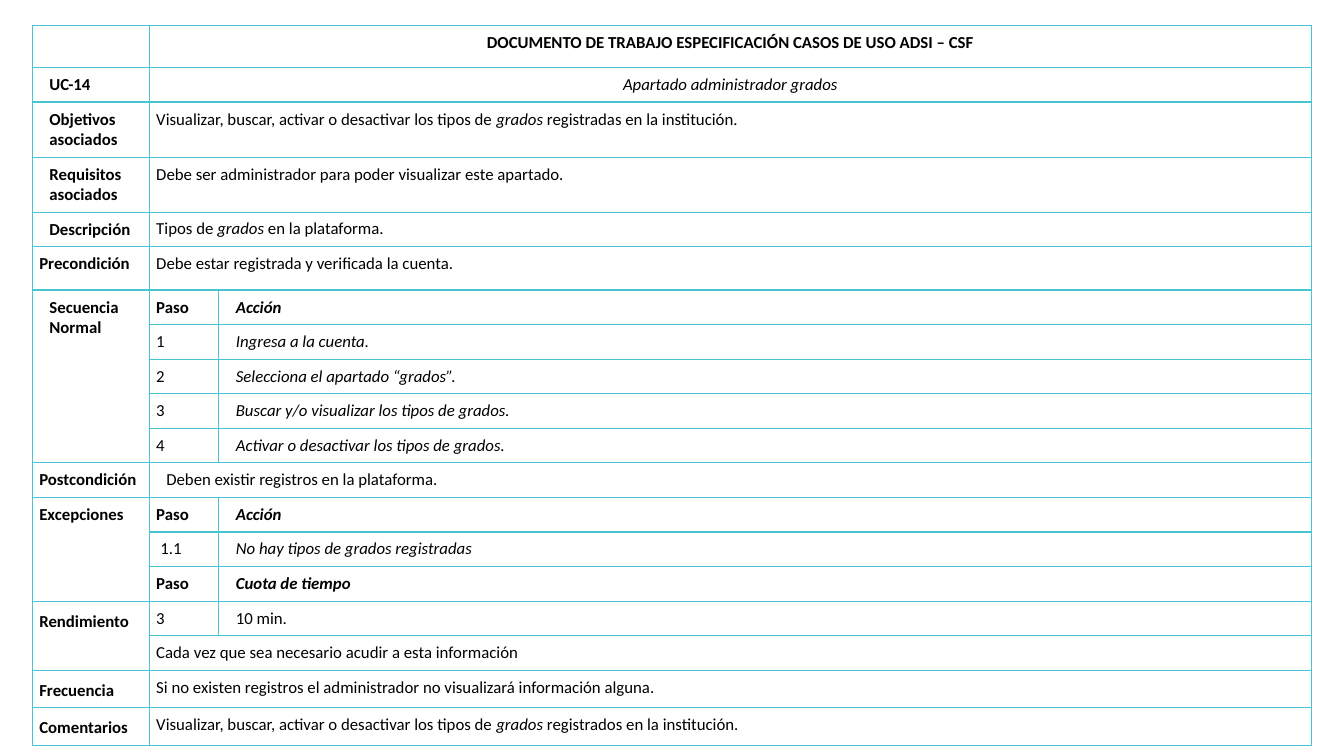
from dataclasses import dataclass
from lxml import etree
from pptx import Presentation
from pptx.dml.color import RGBColor
from pptx.enum.text import PP_ALIGN
from pptx.oxml.ns import qn
from pptx.util import Inches, Pt

LEFT, CENTER = PP_ALIGN.LEFT, PP_ALIGN.CENTER
WIDE, HIGH = 13.33, 7.5


@dataclass(frozen=True)
class Theme:
    font: str = "Calibri"
    size: int = 12
    ink: str = "000000"
    line: str = "47C4D1"
    weight: float = 1
    inset: float = 0.07
    step: float = 0.1


@dataclass(frozen=True)
class Text:
    """Cell wording: asterisks enclose an italic part, each line is a paragraph."""
    words: str
    bold: bool = False
    slant: bool = False
    left: float = 0
    lead: float = 1
    align: PP_ALIGN = LEFT


THEME = Theme()
STEP = THEME.step
COLS = (1.16, 0.69, 10.84)
BASE = 0.34


def label(words, left=0, lead=1):
    return Text(words, bold=True, left=left, lead=lead)


def head(words):
    return label("Paso"), Text(words, bold=True, slant=True, left=STEP)


def action(step, words, left=0):
    return Text(step, left=left), Text(words, slant=True, left=STEP)


# Each row: height, label (None continues the label above), then one wide or two split cells
ROWS = (
    (0.42, label(""), Text("DOCUMENTO DE TRABAJO ESPECIFICACIÓN CASOS DE USO ADSI – CSF",
                           bold=True, align=CENTER)),
    (BASE, label("UC-14", STEP), Text("Apartado administrador grados", slant=True, align=CENTER)),
    (0.54, label("Objetivos\nasociados", STEP),
     Text("Visualizar, buscar, activar o desactivar los tipos de *grados *registradas en la institución.")),
    (0.54, label("Requisitos\nasociados", STEP),
     Text("Debe ser administrador para poder visualizar este apartado.")),
    (BASE, label("Descripción", STEP), Text("Tipos de *grados *en la plataforma.", lead=0.95)),
    (0.43, label("Precondición"), Text("Debe estar registrada y verificada la cuenta.", lead=0.95)),
    (BASE, label("Secuencia\nNormal", STEP), *head("Acción")),
    (BASE, None, *action("1", "Ingresa a la cuenta.")),
    (BASE, None, *action("2", "Selecciona el apartado “grados”.")),
    (BASE, None, *action("3", "Buscar y/o visualizar los tipos de grados.")),
    (BASE, None, *action("4", "Activar o desactivar los tipos de grados.")),
    (BASE, label("Postcondición"),
     Text("Deben existir registros en la plataforma.", left=STEP, lead=0.95)),
    (BASE, label("Excepciones"), *head("Acción")),
    (BASE, None, *action("1.1", "No hay tipos de grados registradas", 0.04)),
    (BASE, None, *head("Cuota de tiempo")),
    (BASE, label("Rendimiento", lead=1.15), Text("3"), Text("10 min.", left=STEP)),
    (BASE, None, Text("Cada vez que sea necesario acudir a esta información")),
    (0.37, label("Frecuencia", lead=1.15),
     Text("Si no existen registros el administrador no visualizará información alguna.")),
    (0.37, label("Comentarios", lead=1.15),
     Text("Visualizar, buscar, activar o desactivar los tipos de *grados *registrados en la institución.")),
)


def frame(cell):
    """Clear the cell's fill, set its insets and rule all four sides."""
    cell.margin_left = cell.margin_right = Inches(THEME.inset)
    cell.margin_top = cell.margin_bottom = Inches(THEME.inset)
    props = cell._tc.get_or_add_tcPr()
    for side in ("a:lnL", "a:lnR", "a:lnT", "a:lnB"):
        line = etree.SubElement(props, qn(side), w=str(Pt(THEME.weight)))
        fill = etree.SubElement(line, qn("a:solidFill"))
        etree.SubElement(fill, qn("a:srgbClr"), val=THEME.line)
    cell.fill.background()


def style(font, bold, slant):
    font.name, font.size = THEME.font, Pt(THEME.size)
    font.bold, font.italic = bold, slant
    font.color.rgb = RGBColor.from_string(THEME.ink)


def write(cell, text):
    cell.text_frame.text = text.words.replace("*", "")
    for para, words in zip(cell.text_frame.paragraphs, text.words.split("\n")):
        para.alignment = text.align
        para.line_spacing = text.lead
        para._p.get_or_add_pPr().set("marL", str(Inches(text.left)))
        if not words:
            style(para.font, text.bold, text.slant)
            continue
        parts = words.split("*")
        para.runs[0].text = parts[0]
        for part in parts[1:]:
            para.add_run().text = part
        for k, run in enumerate(para.runs):
            style(run.font, text.bold, text.slant or k % 2 == 1)


def sheet(slide, x, y, w):
    """Place the use-case table at x, y with its columns scaled to width w."""
    high = sum(row[0] for row in ROWS)
    table = slide.shapes.add_table(len(ROWS), len(COLS), Inches(x), Inches(y),
                                   Inches(w), Inches(high)).table
    table.first_row = table.horz_banding = False
    for col, share in zip(table.columns, COLS):
        col.width = Inches(w * share / sum(COLS))
    for cell in table.iter_cells():
        frame(cell)

    # Wording, with wide cells merged across the last two columns
    for r, (tall, name, *texts) in enumerate(ROWS):
        table.rows[r].height = Inches(tall)
        if len(texts) == 1:
            table.cell(r, 1).merge(table.cell(r, 2))
        for c, text in enumerate((name, *texts)):
            if text:
                write(table.cell(r, c), text)

    # Labels that run down over several rows
    starts = [r for r, row in enumerate(ROWS) if row[1]] + [len(ROWS)]
    for top, end in zip(starts, starts[1:]):
        if end - top > 1:
            table.cell(top, 0).merge(table.cell(end - 1, 0))


def main():
    deck = Presentation()
    deck.slide_width, deck.slide_height = Inches(WIDE), Inches(HIGH)
    slide = deck.slides.add_slide(deck.slide_layouts[6])
    sheet(slide, WIDE * 0.024, HIGH / 30, sum(COLS))
    deck.save("out.pptx")


if __name__ == "__main__":
    main()
